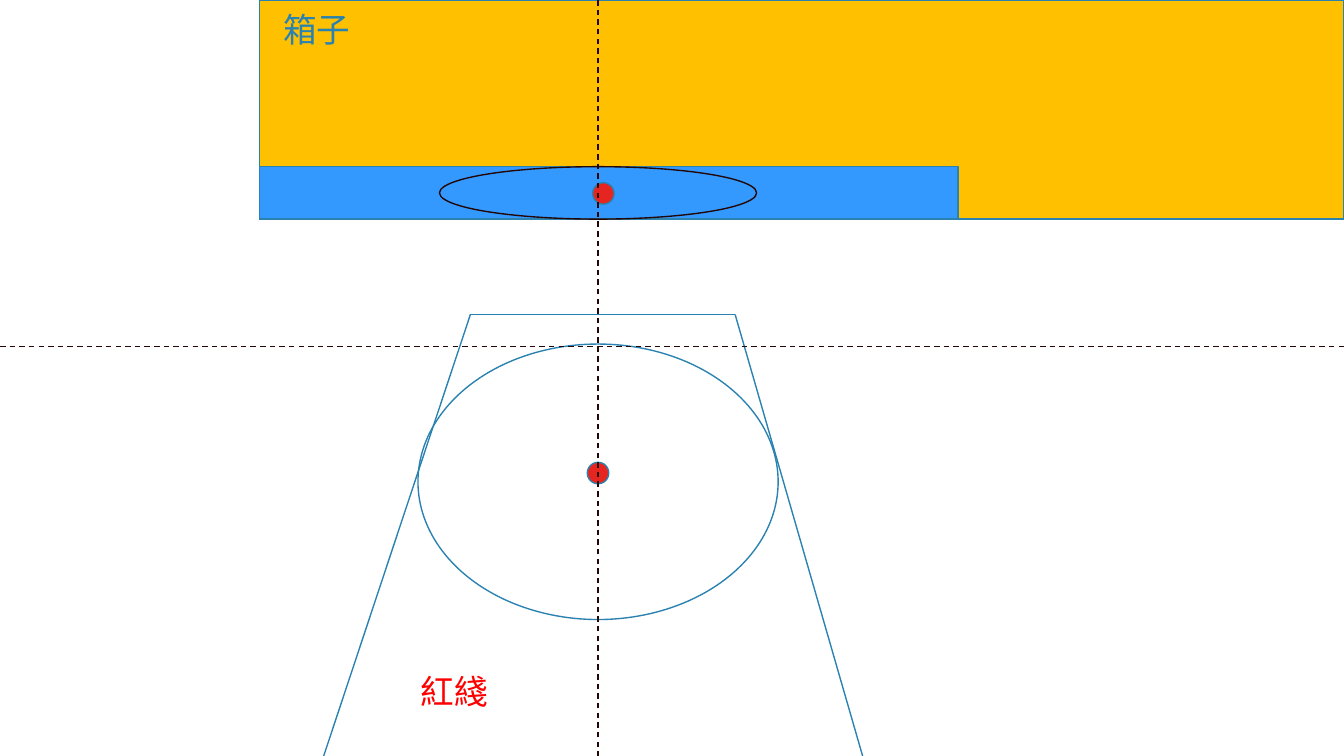
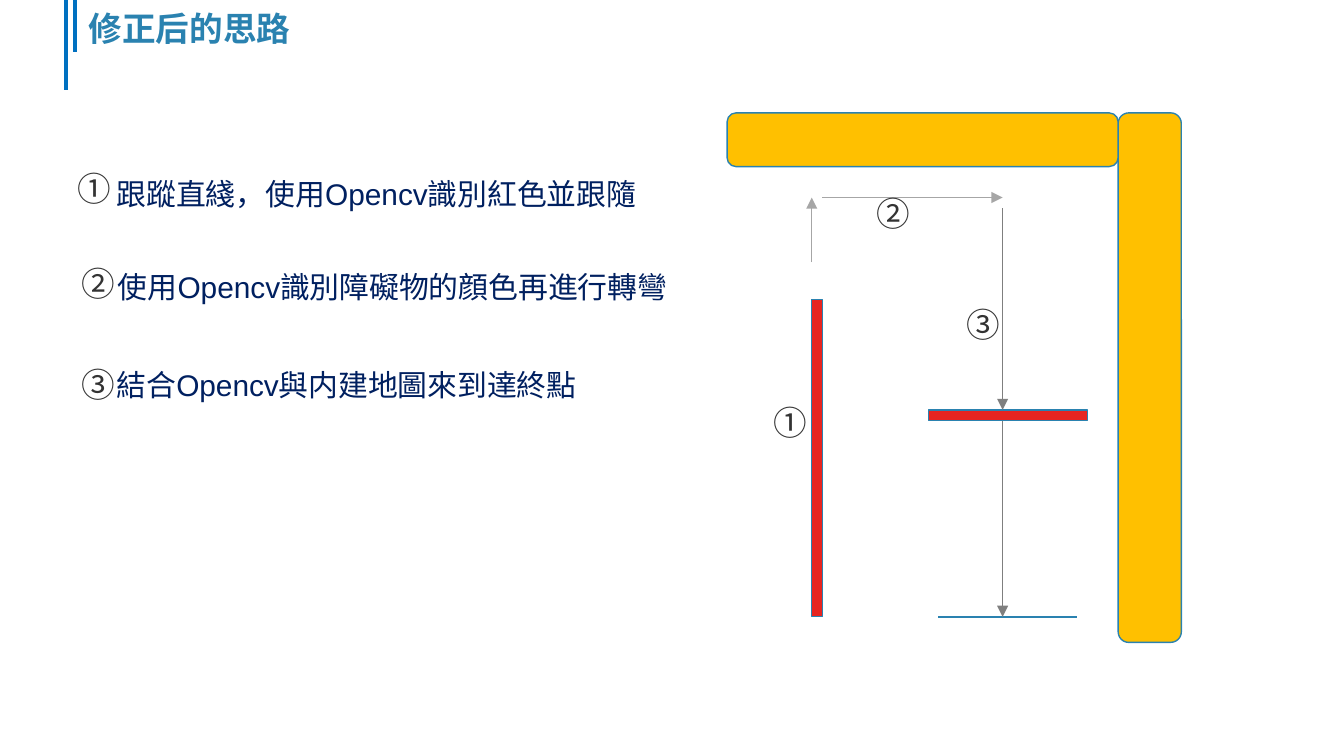
from lxml import etree
from pptx import Presentation
from pptx.dml.color import RGBColor
from pptx.enum.dml import MSO_LINE
from pptx.enum.shapes import MSO_CONNECTOR, MSO_SHAPE
from pptx.enum.text import MSO_ANCHOR, MSO_AUTO_SIZE as FIT, PP_ALIGN
from pptx.oxml.ns import qn
from pptx.util import Emu, Pt

PX = 9144
WIDTH, BOTTOM = 1000, 563
TITLE_ONLY, BLANK = 5, 6
CJK_FONT = "Noto Sans CJK SC"

TEAL = RGBColor(0x2A, 0x82, 0xB0)
AMBER = RGBColor(0xFF, 0xC0, 0x00)
SKY = RGBColor(0x33, 0x99, 0xFF)
RED = RGBColor(0xE7, 0x25, 0x20)
BRIGHT_RED = RGBColor(0xFF, 0x00, 0x00)
INK = RGBColor(0x23, 0x06, 0x06)
BAND = RGBColor(0x00, 0x70, 0xC0)
NAVY = RGBColor(0x00, 0x20, 0x60)
CHARCOAL = RGBColor(0x33, 0x33, 0x33)
LIGHT_GREY = RGBColor(0xA6, 0xA6, 0xA6)
GREY = RGBColor(0x7F, 0x7F, 0x7F)

RECT, OVAL, ROUND = MSO_SHAPE.RECTANGLE, MSO_SHAPE.OVAL, MSO_SHAPE.ROUNDED_RECTANGLE

TRACK_EDGES = [(350, 234, 240, 565), (547, 234, 642, 563), (350, 234, 547, 234)]
CAMERA_VIEW = [
    (RECT, (193, 0, 807, 163), AMBER, TEAL),
    (RECT, (193, 124, 520, 39), SKY, TEAL),
    (OVAL, (327, 124, 236, 39), None, INK),
    (OVAL, (441, 136, 16, 16), RED, TEAL),
    (OVAL, (311, 256, 268, 205), None, TEAL),
    (OVAL, (437, 344, 16, 16), RED, TEAL),
]
AXES = [(0, 258, WIDTH, 258), (445, BOTTOM, 445, 0)]
VIEW_LABELS = [("紅綫", (303, 494), BRIGHT_RED), ("箱子", (201, 2), TEAL)]

TITLE = "修正后的思路"
TITLE_BANDS = [(49, 67), (56, 39)]
ROUTE_MAP = [
    (ROUND, (832, 84, 47, 394), AMBER, TEAL),
    (ROUND, (541, 84, 291, 40), AMBER, TEAL),
    (RECT, (604, 223, 8, 236), RED, TEAL),
    (RECT, (691, 305, 118, 8), RED, TEAL),
]
FINISH = (698, 459, 801, 459)
ROUTE_ARROWS = [
    ((604, 195, 604, 147), LIGHT_GREY),
    ((612, 147, 746, 147), LIGHT_GREY),
    ((746, 155, 746, 305), GREY),
    ((746, 313, 746, 459), GREY),
]
STEPS = [
    ("①", (48, 120), (566, 294), "跟蹤直綫，使用Opencv識別紅色並跟隨", (77, 126)),
    ("②", (51, 191), (642, 139), "使用Opencv識別障礙物的顔色再進行轉彎", (78, 195)),
    ("③", (51, 266), (709, 221), "結合Opencv與内建地圖來到達終點", (77, 268)),
]


def scaled(lengths):
    return [Emu(length * PX) for length in lengths]


def write(frame, text, *, color, size=18, font="Arial", bold=False, fit=FIT.SHAPE_TO_FIT_TEXT):
    frame.word_wrap = True
    frame.auto_size = fit
    paragraph = frame.paragraphs[0]
    paragraph.alignment = PP_ALIGN.LEFT
    run = paragraph.add_run()
    run.text = text
    run.font.name = font
    run.font.size = Pt(size)
    run.font.bold = bold
    run.font.color.rgb = color
    latin = run.font._element.find(qn("a:latin"))
    latin.addnext(etree.Element(qn("a:ea"), typeface=CJK_FONT))


def label(slide, text, spot, extent, **style):
    box = slide.shapes.add_textbox(*scaled((*spot, *extent)))
    write(box.text_frame, text, **style)


def figure(slide, preset, place, fill, outline):
    shape = slide.shapes.add_shape(preset, *scaled(place))
    shape.shadow.inherit = False
    if fill is None:
        shape.fill.background()
    else:
        shape.fill.solid()
        shape.fill.fore_color.rgb = fill
    shape.line.color.rgb = outline
    shape.line.width = Pt(0.75)


def stroke(slide, ends, color, width=0.75, dashed=False, arrow=False):
    connector = slide.shapes.add_connector(MSO_CONNECTOR.STRAIGHT, *scaled(ends))
    connector.line.color.rgb = color
    connector.line.width = Pt(width)
    if dashed:
        connector.line.dash_style = MSO_LINE.DASH
    properties = connector._element.spPr
    if arrow:
        etree.SubElement(properties.find(qn("a:ln")), qn("a:tailEnd"), type="triangle")
    etree.SubElement(properties, qn("a:effectLst"))


def build_camera_view(deck):
    slide = deck.slides.add_slide(deck.slide_layouts[BLANK])
    for ends in TRACK_EDGES:
        stroke(slide, ends, TEAL)
    for part in CAMERA_VIEW:
        figure(slide, *part)
    for ends in AXES:
        stroke(slide, ends, INK, dashed=True)
    for text, spot, color in VIEW_LABELS:
        label(slide, text, spot, (142, 40), color=color)


def build_route(deck):
    slide = deck.slides.add_slide(deck.slide_layouts[TITLE_ONLY])
    title = slide.shapes.title
    title.left, title.top, title.width, title.height = scaled((56, 1, 900, 40))
    write(title.text_frame, TITLE, color=TEAL, font="DejaVu Sans", bold=True, fit=FIT.NONE)
    title.text_frame.vertical_anchor = MSO_ANCHOR.MIDDLE
    for x, bottom in TITLE_BANDS:
        stroke(slide, (x, 0, x, bottom), BAND, width=2.25)
    for part in ROUTE_MAP:
        figure(slide, *part)
    stroke(slide, FINISH, TEAL)
    for ends, color in ROUTE_ARROWS:
        stroke(slide, ends, color, arrow=True)
    for number, list_spot, map_spot, text, text_spot in STEPS:
        for spot in (list_spot, map_spot):
            label(slide, number, spot, (47, 40), color=CHARCOAL, font=CJK_FONT)
        label(slide, text, text_spot, (440, 37), color=NAVY, size=16)


def main():
    deck = Presentation()
    deck.slide_width = Emu(WIDTH * PX)
    deck.slide_height = Emu(deck.slide_width * 9 // 16)
    build_camera_view(deck)
    build_route(deck)
    deck.save("out.pptx")


if __name__ == "__main__":
    main()
